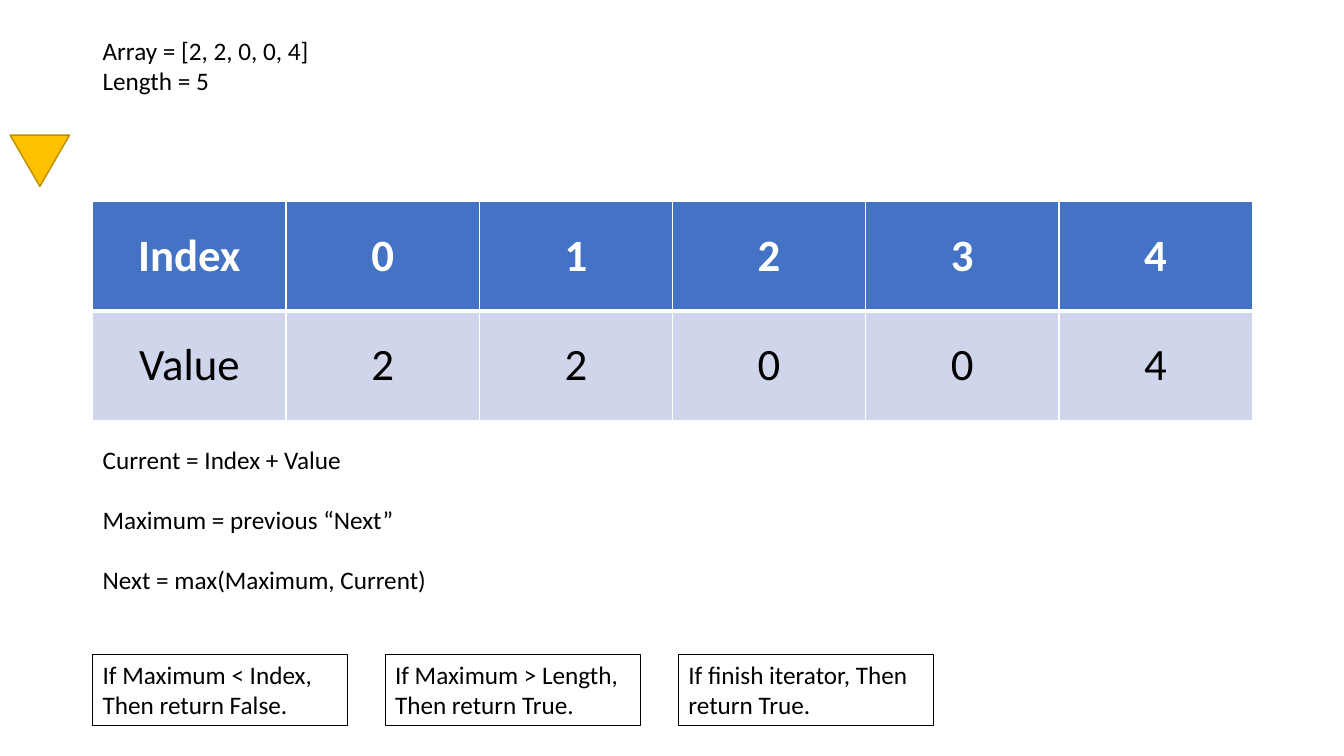
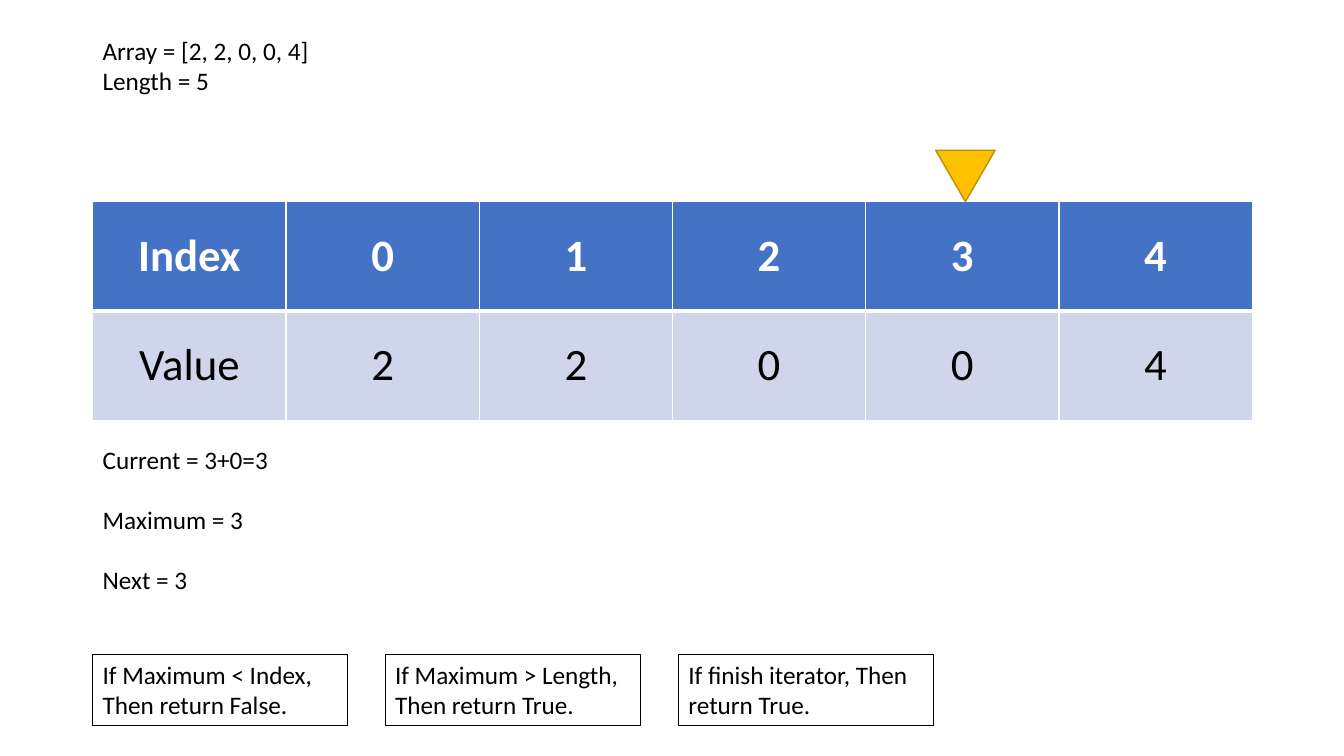
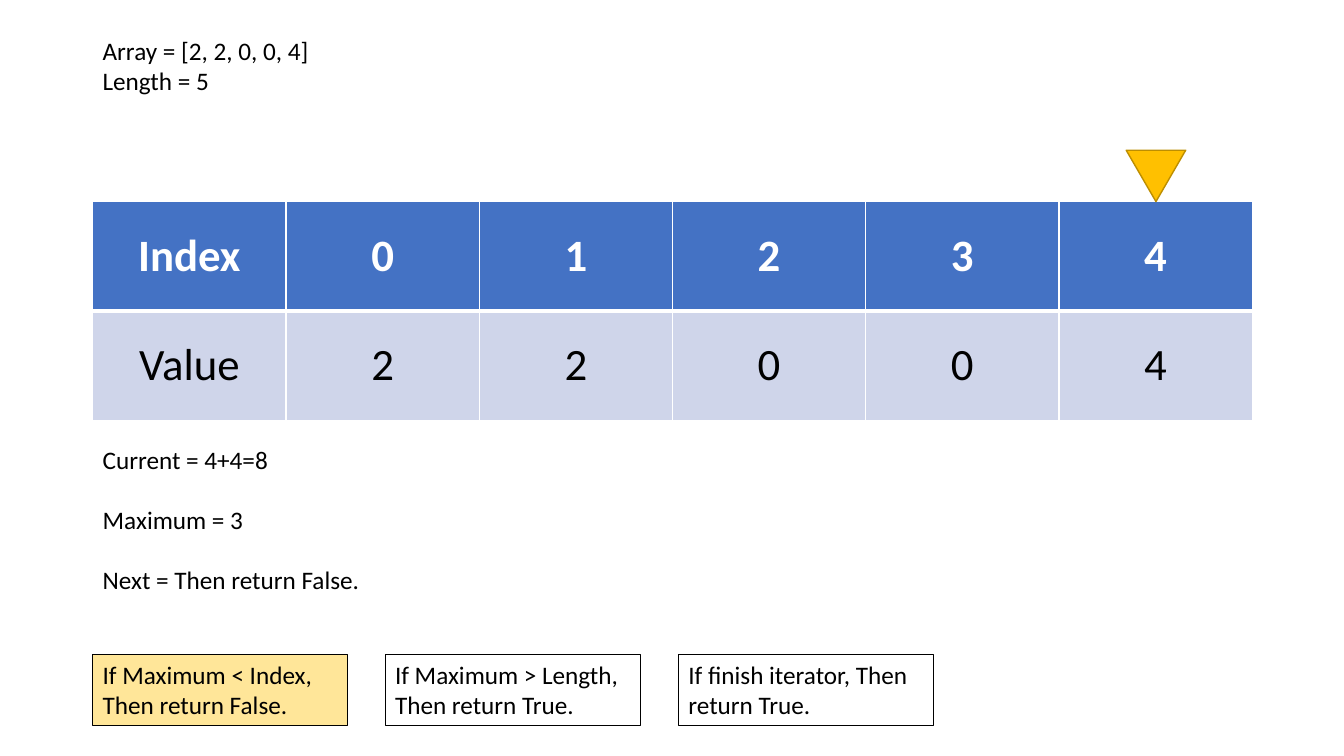
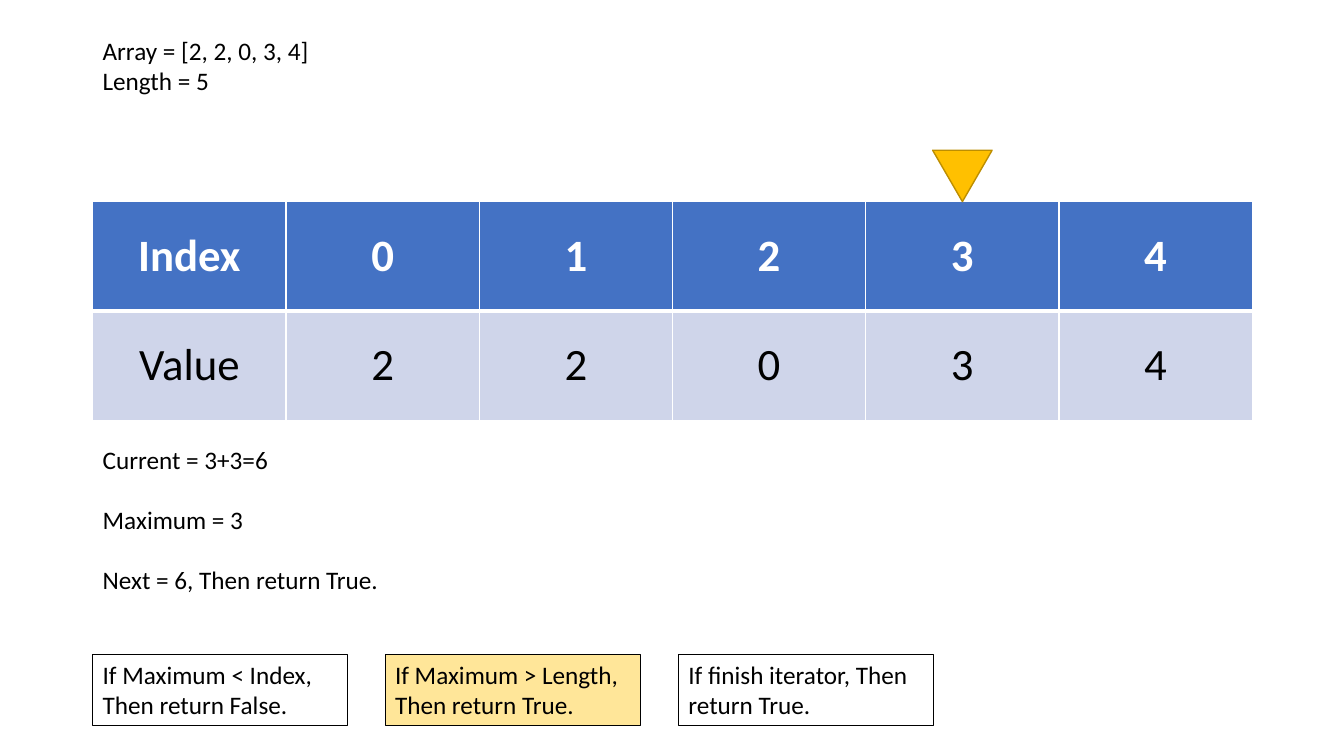
from lxml.etree import SubElement
from pptx import Presentation
from pptx.dml.color import RGBColor
from pptx.enum.shapes import MSO_SHAPE as Shape
from pptx.enum.text import MSO_ANCHOR as Anchor, MSO_AUTO_SIZE as AutoSize, PP_ALIGN as Align
from pptx.oxml.ns import qn
from pptx.util import Emu, Pt

# Shared style
WHITE = RGBColor(0xFF, 0xFF, 0xFF)
BLACK = RGBColor(0x00, 0x00, 0x00)
BLUE = RGBColor(0x44, 0x72, 0xC4)
PALE_BLUE = RGBColor(0xCF, 0xD5, 0xEA)
GOLD = RGBColor(0xFF, 0xC0, 0x00)
DARK_GOLD = RGBColor(0xBD, 0x8E, 0x00)
PALE_GOLD = RGBColor(0xFF, 0xE6, 0x99)
FONT = "Calibri"
EMU_PER_PX = 9144  # 100 px to the inch
LEFT = 92

RULES = [
    "If Maximum < Index, Then return False.",
    "If Maximum > Length, Then return True.",
    "If finish iterator, Then return True.",
]

# One entry a slide: array, heading width, pointer corner, (step, width), met rule
SCENES = [
    ([2, 2, 0, 0, 4], 253, (10, 134),
     [("Current = Index + Value", 260), ("Maximum = previous “Next”", 310),
      ("Next = max(Maximum, Current)", 345)], None),
    ([2, 2, 0, 0, 4], 227, (928, 149),
     [("Current = 3+0=3", 186), ("Maximum = 3", 161), ("Next = 3", 105)], None),
    ([2, 2, 0, 0, 4], 227, (1117, 149),
     [("Current = 4+4=8", 186), ("Maximum = 3", 161),
      ("Next = Then return False.", 278)], 0),
    ([2, 2, 0, 3, 4], 227, (925, 149),
     [("Current = 3+3=6", 186), ("Maximum = 3", 161),
      ("Next = 6, Then return True.", 297)], 1),
]


def px(length):
    return Emu(length * EMU_PER_PX)


class Deck:
    def __init__(self):
        self.presentation = Presentation()
        self.presentation.slide_width = px(1333)
        self.presentation.slide_height = px(750)
        self.slide = None

    def new_slide(self):
        blank = self.presentation.slide_layouts[6]
        self.slide = self.presentation.slides.add_slide(blank)

    def style(self, paragraph, size, color, bold=False):
        font = paragraph.font
        font.name, font.size, font.bold = FONT, Pt(size), bold
        font.color.rgb = color

    def text(self, lines, left, top, width, height, wrap=True):
        box = self.slide.shapes.add_textbox(px(left), px(top), px(width), px(height))
        frame = box.text_frame
        frame.word_wrap = wrap
        frame.auto_size = AutoSize.SHAPE_TO_FIT_TEXT
        frame.text = "\n".join(lines)
        for paragraph in frame.paragraphs:
            self.style(paragraph, 18, BLACK)
        return box

    def rule(self, text, left, met):
        box = self.text([text], left, 649, 253, 71)
        box.line.color.rgb = BLACK
        box.line.width = Pt(0.75)
        if met:
            box.fill.solid()
            box.fill.fore_color.rgb = PALE_GOLD

    def pointer(self, left, top):
        marker = self.slide.shapes.add_shape(
            Shape.ISOSCELES_TRIANGLE, px(left), px(top), px(59), px(51))
        marker.rotation = 180
        marker.shadow.inherit = False
        marker.fill.solid()
        marker.fill.fore_color.rgb = GOLD
        marker.line.color.rgb = DARK_GOLD
        marker.line.width = Pt(1)

    def borders(self, cell, top, bottom):
        properties = cell._tc.get_or_add_tcPr()
        for side, width in (("L", 1), ("R", 1), ("T", top), ("B", bottom)):
            line = SubElement(properties, qn(f"a:ln{side}"), w=str(Pt(width)))
            fill = SubElement(line, qn("a:solidFill"))
            SubElement(fill, qn("a:srgbClr"), val=str(WHITE))

    def array_table(self, values):
        rows = [("Index", *range(len(values))), ("Value", *values)]
        looks = [(BLUE, WHITE, True, 1, 3), (PALE_BLUE, BLACK, False, 3, 1)]
        table = self.slide.shapes.add_table(
            len(rows), len(rows[0]), px(LEFT), px(200), px(1150), px(217)).table
        for r, (row, (fill, color, bold, top, bottom)) in enumerate(zip(rows, looks)):
            for c, value in enumerate(row):
                cell = table.cell(r, c)
                self.borders(cell, top, bottom)
                cell.fill.solid()
                cell.fill.fore_color.rgb = fill
                cell.vertical_anchor = Anchor.MIDDLE
                cell.text = str(value)
                paragraph = cell.text_frame.paragraphs[0]
                paragraph.alignment = Align.CENTER
                self.style(paragraph, 32, color, bold)


def main():
    deck = Deck()
    for values, heading_width, corner, steps, met_rule in SCENES:
        deck.new_slide()
        # Array and pointer
        deck.array_table(values)
        deck.text([f"Array = {values}", f"Length = {len(values)}"],
                  LEFT, 30, heading_width, 71)
        deck.pointer(*corner)
        # Calculation steps
        for n, (step, width) in enumerate(steps):
            deck.text([step], LEFT, 436 + n * 119 // 2, width, 40, wrap=False)
        # Stopping rules
        for n, rule in enumerate(RULES):
            deck.rule(rule, LEFT + n * 581 // 2, n == met_rule)
    deck.presentation.save("out.pptx")


if __name__ == "__main__":
    main()
